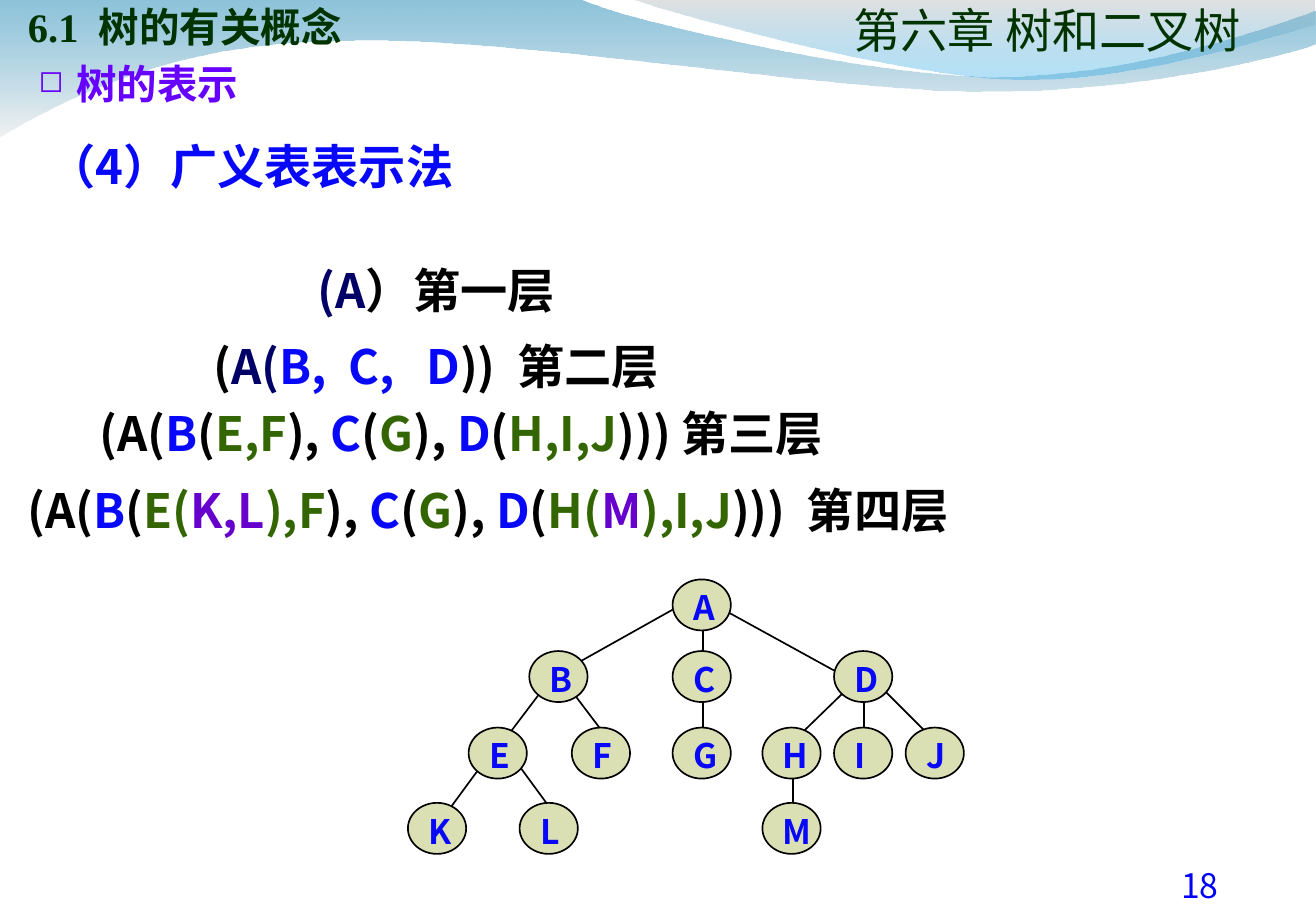
from lxml.etree import SubElement
from pptx import Presentation
from pptx.dml.color import RGBColor
from pptx.enum.shapes import MSO_CONNECTOR, MSO_SHAPE
from pptx.enum.text import MSO_ANCHOR, MSO_AUTO_SIZE, PP_ALIGN
from pptx.oxml.ns import qn
from pptx.util import Inches, Pt

BLACK = RGBColor(0x00, 0x00, 0x00)
NAVY = RGBColor(0x00, 0x00, 0x66)
BLUE = RGBColor(0x07, 0x07, 0xF9)
GREEN = RGBColor(0x33, 0x66, 0x00)
PURPLE = RGBColor(0x66, 0x00, 0xCC)
VIOLET = RGBColor(0x66, 0x00, 0xFF)
DARK_GREEN = RGBColor(0x00, 0x33, 0x00)
PAGE_BLUE = RGBColor(0x00, 0x00, 0xFF)
NODE_FILL = RGBColor(0xDB, 0xE0, 0xB4)
WAVE_TEAL = RGBColor(0x00, 0x79, 0xAF)
WAVE_PALE = RGBColor(0xE7, 0xE7, 0xE7)
WAVE_GREY = RGBColor(0xBC, 0xBC, 0xBC)
WAVE_SKY = RGBColor(0x00, 0x9B, 0xE5)

SANS = "Noto Sans CJK SC"
SERIF = "Times New Roman"
NODE_W, NODE_H = 0.48, 0.42

BACK_WAVE = [
    (0, -0.01), (4.77, -0.01),
    (5.15, 0.17, 7.19, 0.63, 8.22, 0.63), (9.24, 0.63, 10.38, 0.26, 10.83, 0.09),
    (10.85, 0.36),
    (10.65, 0.44, 9.42, 0.76, 8.08, 0.75), (6.74, 0.75, 4.14, 0.28, 2.79, 0.34),
    (1.4, 0.35, 0.5, 0.83, -0.01, 1.13),
]
FRONT_WAVE = [
    (5.19, -0.01),
    (5.52, 0.11, 7.39, 0.62, 8.33, 0.65), (9.27, 0.69, 10.42, 0.32, 10.83, 0.21),
    (10.83, 0),
]

LEVELS = [
    (2.52, 2.1, [("(A", NAVY), ("）第一层", BLACK)]),
    (1.66, 2.73, [("(", BLACK), ("A(", NAVY), ("B,  C,   D", BLUE), ("))  第二层", BLACK)]),
    (0.72, 3.28, [
        ("(A(", BLACK), ("B", BLUE), ("(", BLACK), ("E,F", GREEN), ("), ", BLACK),
        ("C", BLUE), ("(", BLACK), ("G", GREEN), ("), ", BLACK),
        ("D", BLUE), ("(", BLACK), ("H,I,J", GREEN), ("))) 第三层", BLACK)]),
    (0.13, 3.91, [
        ("(A(", BLACK), ("B", BLUE), ("(", BLACK), ("E(", GREEN), ("K,L", PURPLE),
        ("),F", GREEN), ("), ", BLACK), ("C", BLUE), ("(", BLACK), ("G", GREEN),
        ("), ", BLACK), ("D", BLUE), ("(", BLACK), ("H(", GREEN), ("M", PURPLE),
        ("),I,J", GREEN), (")))  第四层", BLACK)]),
]

TREE_ROWS = [
    (4.77, {"A": 5.54}),
    (5.36, {"B": 4.36, "C": 5.54, "D": 6.87}),
    (5.99, {"E": 3.86, "F": 4.71, "G": 5.54, "H": 6.28, "I": 6.87, "J": 7.46}),
    (6.61, {"K": 3.36, "L": 4.28, "M": 6.28}),
]
TREE_EDGES = [
    (5.54, 5.02, 4.79, 5.44), (5.79, 5.19, 5.79, 5.36), (5.96, 5.02, 6.87, 5.52),
    (4.46, 5.69, 4.21, 6.02), (4.71, 5.69, 4.96, 6.02), (5.79, 5.77, 5.79, 6.02),
    (6.96, 5.69, 6.62, 6.02), (7.12, 5.77, 7.12, 6.02), (7.29, 5.69, 7.62, 6.02),
    (3.96, 6.31, 3.71, 6.65), (4.28, 6.31, 4.53, 6.65), (6.53, 6.4, 6.53, 6.65),
]


def set_font(p, name, size, color, bold=False):
    """Set the font of a whole paragraph, for Latin and Chinese characters."""
    p.font.size, p.font.bold, p.font.name = Pt(size), bold, name
    if color is not None:
        p.font.color.rgb = color
    SubElement(p._p.pPr.find(qn("a:defRPr")), qn("a:ea"), typeface=SANS)


def add_text(s, box, runs, name, size, color=None, bold=True, heading=False):
    """Add a text box of one paragraph and return the paragraph."""
    tf = s.shapes.add_textbox(*map(Inches, box)).text_frame
    tf.word_wrap = True
    if heading:
        tf.vertical_anchor = MSO_ANCHOR.BOTTOM
        tf.margin_left = tf.margin_right = tf.margin_bottom = 0
    else:
        tf.auto_size = MSO_AUTO_SIZE.SHAPE_TO_FIT_TEXT
    p = tf.paragraphs[0]
    for text, run_color in runs:
        r = p.add_run()
        r.text = text
        if run_color is not None:
            r.font.color.rgb = run_color
    set_font(p, name, size, color, bold)
    return p


def add_bullet(p, char, color, indent):
    """Give a paragraph a small coloured bullet with a hanging indent."""
    pPr = p._p.get_or_add_pPr()
    pPr.set("marL", str(Inches(indent)))
    pPr.set("indent", str(-Inches(indent)))
    bu_color = pPr.makeelement(qn("a:buClr"))
    SubElement(bu_color, qn("a:srgbClr"), val=str(color))
    pPr.insert(0, bu_color)
    pPr.insert(1, pPr.makeelement(qn("a:buSzPct"), {"val": "75000"}))
    pPr.insert(2, pPr.makeelement(qn("a:buChar"), {"char": char}))


def bend_segments(sp, outline):
    """Turn the segments that have control points into cubic curves."""
    segments = list(sp._element.iter(qn("a:lnTo")))
    for segment, part in zip(segments, outline[1:]):
        if len(part) == 6:
            curve = segment.makeelement(qn("a:cubicBezTo"))
            for x, y in zip(part[::2], part[1::2]):
                SubElement(curve, qn("a:pt"), x=str(Inches(x) - sp.left),
                           y=str(Inches(y) - sp.top))
            segment.getparent().replace(segment, curve)


def add_wave(s, outline, stops):
    """Add a wave filled with a translucent vertical gradient."""
    points = [(Inches(part[-2]), Inches(part[-1])) for part in outline]
    builder = s.shapes.build_freeform(*points[0])
    builder.add_line_segments(points[1:], close=True)
    sp = builder.convert_to_shape()
    bend_segments(sp, outline)
    sp.shadow.inherit = False
    sp.line.fill.background()
    sp.fill.gradient()
    sp.fill.gradient_angle = 270
    for stop, (color, opacity) in zip(sp.fill.gradient_stops, stops):
        stop.color.rgb = color
    for clr, (color, opacity) in zip(sp._element.spPr.iter(qn("a:srgbClr")), stops):
        SubElement(clr, qn("a:alpha"), val=str(opacity * 1000))


def add_edge(tree, edge):
    """Add a line between two tree nodes."""
    line = tree.shapes.add_connector(MSO_CONNECTOR.STRAIGHT, *map(Inches, edge))
    line.line.color.rgb = BLACK
    line.line.width = Pt(1)
    SubElement(line._element.spPr, qn("a:effectLst"))


def add_node(tree, letter, x, y):
    """Add a lettered tree node."""
    sp = tree.shapes.add_shape(MSO_SHAPE.OVAL, *map(Inches, (x, y, NODE_W, NODE_H)))
    sp.shadow.inherit = False
    sp.fill.solid()
    sp.fill.fore_color.rgb = NODE_FILL
    sp.line.color.rgb = BLACK
    sp.line.width = Pt(1)
    tf = sp.text_frame
    tf.vertical_anchor = MSO_ANCHOR.TOP
    tf.margin_left = Inches(0.1)
    tf.margin_top = tf.margin_right = tf.margin_bottom = 0
    p = tf.paragraphs[0]
    p.alignment = PP_ALIGN.LEFT
    r = p.add_run()
    r.text = letter
    set_font(p, SANS, 20, BLUE, True)


def main():
    """Build the slide and save it."""
    prs = Presentation()
    prs.slide_width, prs.slide_height = Inches(10.84), Inches(7.5)
    s = prs.slides.add_slide(prs.slide_layouts[6])
    add_wave(s, BACK_WAVE, [(WAVE_TEAL, 45), (WAVE_PALE, 55)])
    add_wave(s, FRONT_WAVE, [(WAVE_GREY, 45), (WAVE_SKY, 30)])

    p = add_text(s, (8.97, 7.07, 1.83, 0.51), [("18", None)], SANS, 20, PAGE_BLUE, False)
    p.alignment = PP_ALIGN.CENTER
    p = add_text(s, (6.98, -0.31, 3.29, 0.79), [("第六章 树和二叉树", None)],
                 SERIF, 28, DARK_GREEN, False, heading=True)
    p.alignment = PP_ALIGN.CENTER
    add_text(s, (0.23, -0.42, 9.75, 0.84), [("6.1  树的有关概念", None)],
             SERIF, 24, DARK_GREEN, heading=True)
    p = add_text(s, (0.22, 0.44, 4.63, 0.5), [("树的表示", None)], SERIF, 24, VIOLET)
    add_bullet(p, "◻", VIOLET, 0.31)
    p = add_text(s, (0.3, 0.99, 6.22, 0.66), [("（4）广义表表示法", None)], SANS, 28, BLUE)
    p.line_spacing = 1.2
    for x, y, runs in LEVELS:
        add_text(s, (x, y, 10.83, 0.57), runs, SANS, 28)

    tree = s.shapes.add_group_shape()
    for edge in TREE_EDGES:
        add_edge(tree, edge)
    for y, row in TREE_ROWS:
        for letter, x in row.items():
            add_node(tree, letter, x, y)
    prs.save("out.pptx")


if __name__ == "__main__":
    main()
